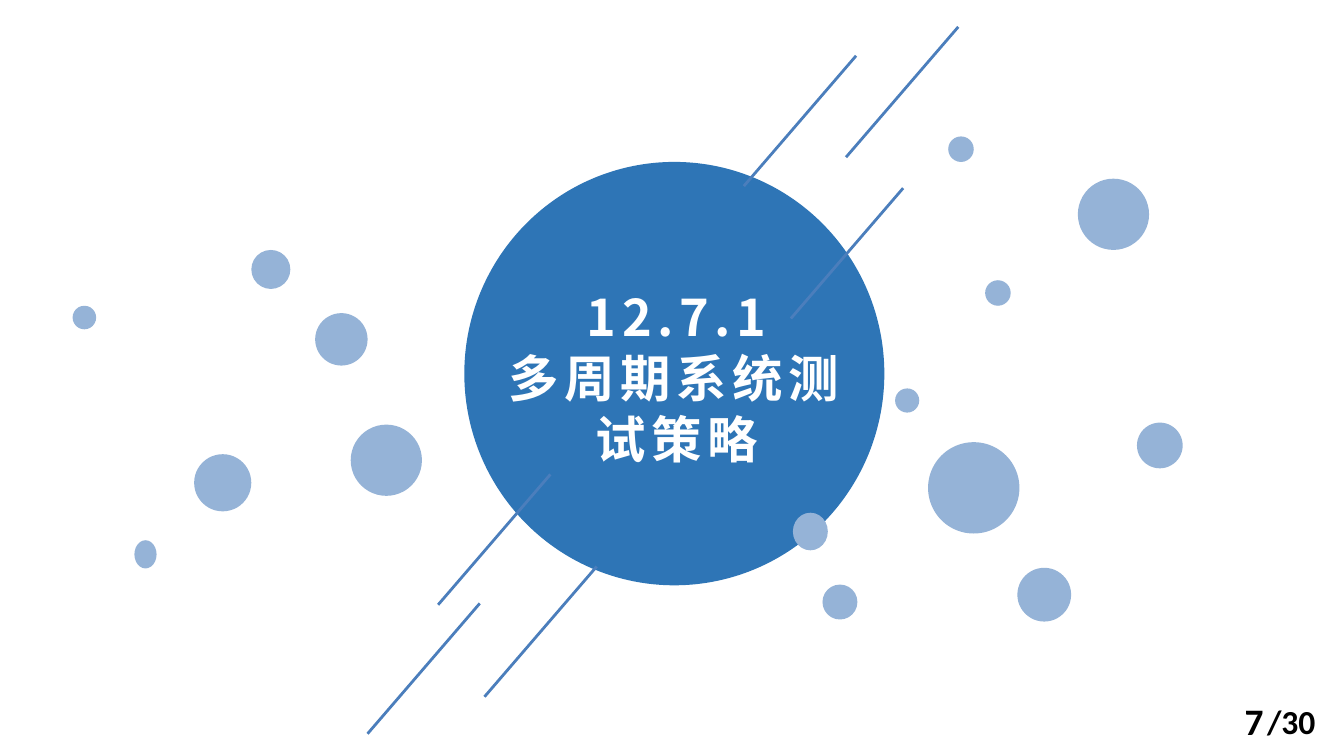
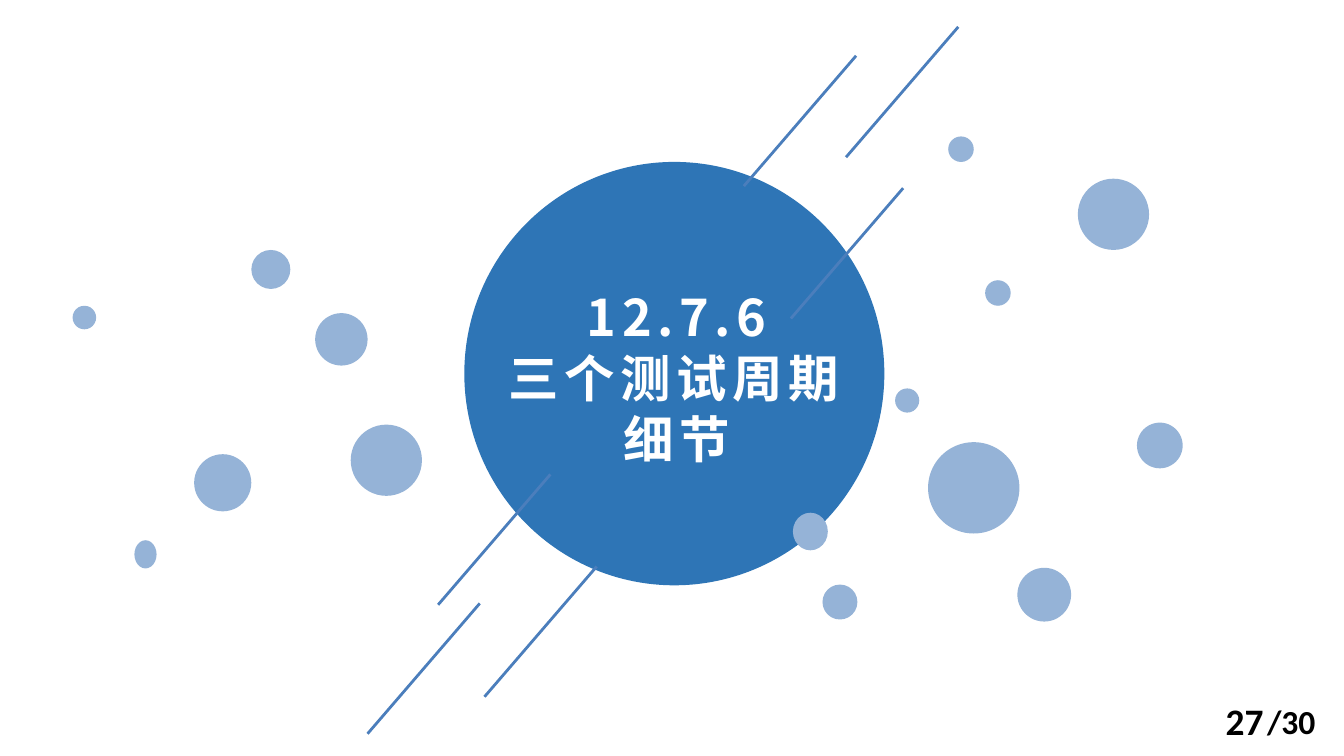
"""Build two section-title slides with a central disc, bubbles and slanted lines."""
from lxml.etree import SubElement
from pptx import Presentation
from pptx.dml.color import RGBColor
from pptx.enum.shapes import MSO_CONNECTOR, MSO_SHAPE
from pptx.enum.text import MSO_ANCHOR, PP_ALIGN
from pptx.oxml.ns import qn
from pptx.util import Pt

PX = 4572
DISC, BUBBLE, LINE = "2E75B6", "95B3D7", "4B7EBC"
CJK = "Noto Sans CJK SC"

SECTIONS = [("12.7.1", "多周期系统测试策略", 7), ("12.7.6", "三个测试周期细节", 27)]
TOTAL = 30

ELLIPSES = [
    (200, 804, 33, 42), (289, 676, 85, 85), (522, 632, 106, 106), (108, 455, 35, 35),
    (469, 466, 78, 78), (374, 372, 58, 58), (1332, 578, 36, 36), (1604, 266, 106, 106),
    (1224, 870, 52, 52), (1180, 763, 52, 56), (1466, 417, 38, 38), (1381, 658, 136, 136),
    (1411, 203, 38, 38), (1692, 629, 68, 68), (1514, 845, 80, 80),
]
LINE_STARTS = [(1274, 83), (1426, 40), (714, 898), (1344, 280), (888, 843), (819, 706)]
LINE_DX, LINE_DY = -167, 194


def rgb(color):
    return RGBColor.from_string(color)


def add_text(s, box, lines, size, font, color, align):
    sp = s.shapes.add_textbox(*[v * PX for v in box])
    tf = sp.text_frame
    tf.word_wrap = True
    tf.text = "\n".join(lines)
    for p in tf.paragraphs:
        p.alignment = align
        p.font.size = Pt(size)
        p.font.name = font
        p.font.bold = True
        p.font.color.rgb = rgb(color)
    return tf


prs = Presentation()
prs.slide_width, prs.slide_height = 2000 * PX, 1125 * PX

for number, title, page in SECTIONS:
    s = prs.slides.add_slide(prs.slide_layouts[6])
    add_text(s, (1866, 1033, 132, 80), [f"/{TOTAL}"], 18, "Calibri", "000000", PP_ALIGN.LEFT)

    discs = [(691, 241, 625, 630, DISC)] + [(*e, BUBBLE) for e in ELLIPSES]
    for i, (x, y, w, h, color) in enumerate(discs):
        sp = s.shapes.add_shape(MSO_SHAPE.OVAL, x * PX, y * PX, w * PX, h * PX)
        sp.shadow.inherit = False
        sp.fill.solid()
        sp.fill.fore_color.rgb = rgb(color)
        sp.line.fill.background()
        if i == 0:
            tf = add_text(s, (713, 326, 588, 384), [number, title], 27, CJK, "FFFFFF",
                          PP_ALIGN.CENTER)
            tf.margin_top = 99 * PX
            for p in tf.paragraphs:
                p.line_spacing = Pt(32.7)
                for r in p.runs:
                    rPr = r.font._element
                    rPr.set("spc", "300")
                    SubElement(rPr, qn("a:ea")).set("typeface", CJK)

    for x, y in LINE_STARTS:
        cx = s.shapes.add_connector(MSO_CONNECTOR.STRAIGHT, x * PX, y * PX,
                                    (x + LINE_DX) * PX, (y + LINE_DY) * PX)
        cx.line.color.rgb = rgb(LINE)
        cx.line.width = Pt(1.5)
        SubElement(cx._element.spPr, qn("a:effectLst"))

    tf = add_text(s, (1434, 1043, 466, 60), [str(page)], 20, "Calibri", "000000",
                  PP_ALIGN.RIGHT)
    tf.vertical_anchor = MSO_ANCHOR.MIDDLE

prs.save("out.pptx")
